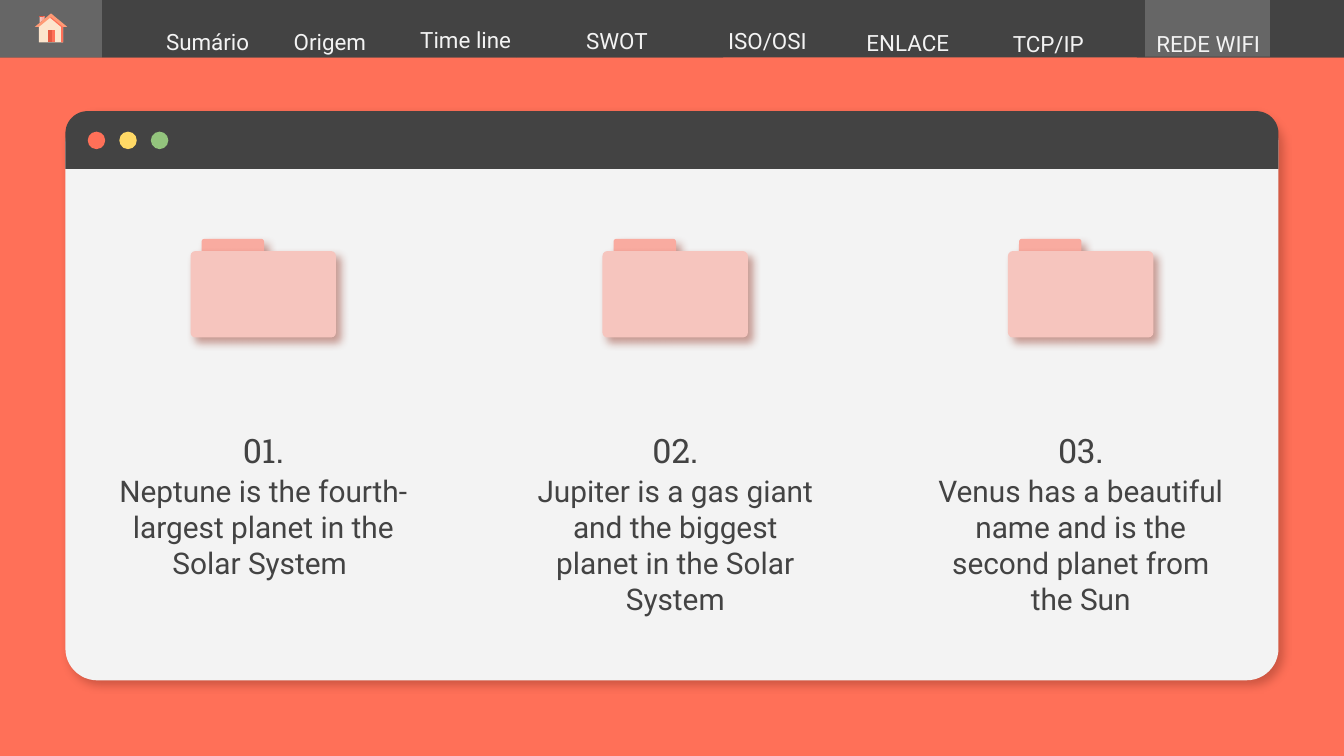
from lxml import etree
from pptx import Presentation
from pptx.dml.color import RGBColor
from pptx.enum.shapes import MSO_SHAPE
from pptx.enum.text import MSO_ANCHOR, PP_ALIGN
from pptx.oxml.ns import qn
from pptx.util import Emu, Inches, Pt

RECT = MSO_SHAPE.RECTANGLE
ROUND = MSO_SHAPE.ROUNDED_RECTANGLE
TOP_ROUND = MSO_SHAPE.ROUND_2_SAME_RECTANGLE
OVAL = MSO_SHAPE.OVAL
TOP, MIDDLE, BOTTOM = MSO_ANCHOR.TOP, MSO_ANCHOR.MIDDLE, MSO_ANCHOR.BOTTOM
CENTER = PP_ALIGN.CENTER

CORAL, DARK, GRAY, LIGHT = "FF7058", "434343", "666666", "F3F3F3"
PINK, ROSE, CREAM, RED = "F6C5BE", "F9ABA0", "FCE5CD", "E55A43"
BODY, HEAD = "Roboto", "Roboto Slab"
COLUMNS = 100

TOPICS = [
    (14.18, "Neptune is the fourth-largest planet in the Solar System "),
    (44.83, "Jupiter is a gas giant and the biggest planet in the Solar System"),
    (75, "Venus has a beautiful name and is the second planet from the Sun"),
]
MENU = [
    ("Sumário", 11, 1, 8.9),
    ("Origem", 20.05, 1, 9),
    ("Time line", 29.2, 0.87, 10.9),
    ("SWOT", 40.25, 0.9, 11.3),
    ("ISO/OSI", 51.7, 0.93, 10.8),
    ("ENLACE", 62.7, 1.1, 9.7),
    ("TCP/IP", 72.55, 1.14, 10.9),
    ("REDE WIFI", 83.65, 1.14, 12.5),
]
HOUSE = [
    (PINK, [(2.95, 1.25), (2.95, 1.7), (3.3, 1.4), (3.3, 1.25)]),
    (ROSE, [(3.1, 1.25), (3.1, 1.6), (3.3, 1.4), (3.3, 1.25)]),
    (CREAM, [(3.8, 1.2), (2.9, 1.95), (2.9, 3.15), (4.7, 3.15), (4.7, 1.95)]),
    (CORAL, [(3.8, 1.2), (3.7, 1.3), (4.55, 2), (4.55, 3.15), (4.7, 3.15), (4.7, 1.95)]),
    (RED, [(2.9, 1.18), (2.9, 1.3), (3.3, 1.3), (3.3, 1.18)]),
    (RED, [(3.55, 2.2), (3.55, 3.15), (4.1, 3.15), (4.1, 2.2)]),
    (CORAL, [(3.9, 2.2), (3.9, 3.15), (4.1, 3.15), (4.1, 2.2)]),
    ("FF9A75", [(3.8, 1), (2.6, 2), (2.9, 2), (3.8, 1.27), (4.7, 2), (5, 2)]),
    (CORAL, [(3.2, 1.18), (3.2, 1.3), (3.35, 1.3), (3.35, 1.18)]),
]


def color(code):
    return RGBColor.from_string(code)


class Deck:
    def __init__(self):
        self.prs = Presentation()
        self.prs.slide_width = Inches(10)
        self.prs.slide_height = self.prs.slide_width * 9 // 16
        self.unit = self.prs.slide_width / COLUMNS
        self.slide = self.prs.slides.add_slide(self.prs.slide_layouts[6])
        self.slide.background.fill.solid()
        self.slide.background.fill.fore_color.rgb = color(CORAL)

    def grid(self, *cells):
        return [Emu(round(cell * self.unit)) for cell in cells]

    def paint(self, shape, fill):
        shape.shadow.inherit = False
        shape.fill.solid()
        shape.fill.fore_color.rgb = color(fill)
        shape.line.fill.background()

    def shape(self, kind, box, fill, bends=(), shade=False):
        shape = self.slide.shapes.add_shape(kind, *self.grid(*box))
        self.paint(shape, fill)
        for i, bend in enumerate(bends):
            shape.adjustments[i] = bend
        if shade:
            self.shade(shape)

    def shade(self, shape):
        effects = shape._element.spPr.find(qn("a:effectLst"))
        outer = etree.SubElement(
            effects, qn("a:outerShdw"), blurRad=str(Pt(4.5)), dist=str(Pt(3.8)),
            dir=str(48 * 60000), algn="bl", rotWithShape="0")
        tint = etree.SubElement(outer, qn("a:srgbClr"), val="963A2A")
        etree.SubElement(tint, qn("a:alpha"), val="47000")

    def outline(self, points, fill):
        first, *rest = [self.grid(*point) for point in points]
        path = self.slide.shapes.build_freeform(*first)
        path.add_line_segments(rest)
        self.paint(path.convert_to_shape(), fill)

    def text(self, words, box, size, ink, font=BODY, anchor=TOP, pad=(1, 1), space=1):
        frame = self.slide.shapes.add_textbox(*self.grid(*box)).text_frame
        frame.word_wrap = True
        frame.vertical_anchor = anchor
        frame.margin_left, frame.margin_right = self.grid(1, 1)
        frame.margin_top, frame.margin_bottom = self.grid(*pad)
        frame.text = words
        para = frame.paragraphs[0]
        para.alignment = CENTER
        para.line_spacing = space
        run = para.runs[0].font
        run.name, run.size = font, Pt(size)
        run.color.rgb = color(ink)


def window(deck):
    deck.shape(ROUND, (4.87, 8.27, 90.26, 42.35), LIGHT, [0.056], True)
    deck.shape(TOP_ROUND, (4.87, 8.27, 90.26, 4.3), DARK, [0.383, 0])
    for i, fill in enumerate([CORAL, "FFD966", "93C47D"]):
        deck.shape(OVAL, (6.53 + 2.35 * i, 9.8, 1.3, 1.3), fill)


def topics(deck):
    for i, (left, words) in enumerate(TOPICS, 1):
        deck.shape(ROUND, (left + 0.82, 17.77, 4.65, 2.2), ROSE, [0.098], True)
        deck.shape(ROUND, (left, 18.68, 10.82, 6.43), PINK, [0.056], True)
        edge = left - 6.38
        deck.text(words, (edge, 34.2, 23.6, 8.5), 16, DARK)
        deck.text(f"{i:02}.", (edge, 29.6, 23.6, 5.4), 18, DARK, HEAD, BOTTOM, (1, 0), 1.1)


def menu(deck):
    deck.shape(RECT, (0, 0, COLUMNS, 4.27), DARK)
    deck.shape(RECT, (0, 0, 7.6, 4.27), GRAY)
    for i in (0, 1, 2, 5):
        deck.shape(RECT, (7.6 + 15.4 * i, 0, 15.4, 4.27), DARK)
    for fill, points in HOUSE:
        deck.outline(points, fill)
    deck.shape(RECT, (85.2, 0, 9.3, 4.23), GRAY)
    for words, left, top, width in MENU:
        deck.text(words, (left, top, width, 2.2), 12, LIGHT, anchor=MIDDLE, pad=(2, 0))


def main():
    deck = Deck()
    window(deck)
    topics(deck)
    menu(deck)
    deck.prs.save("out.pptx")


if __name__ == "__main__":
    main()
